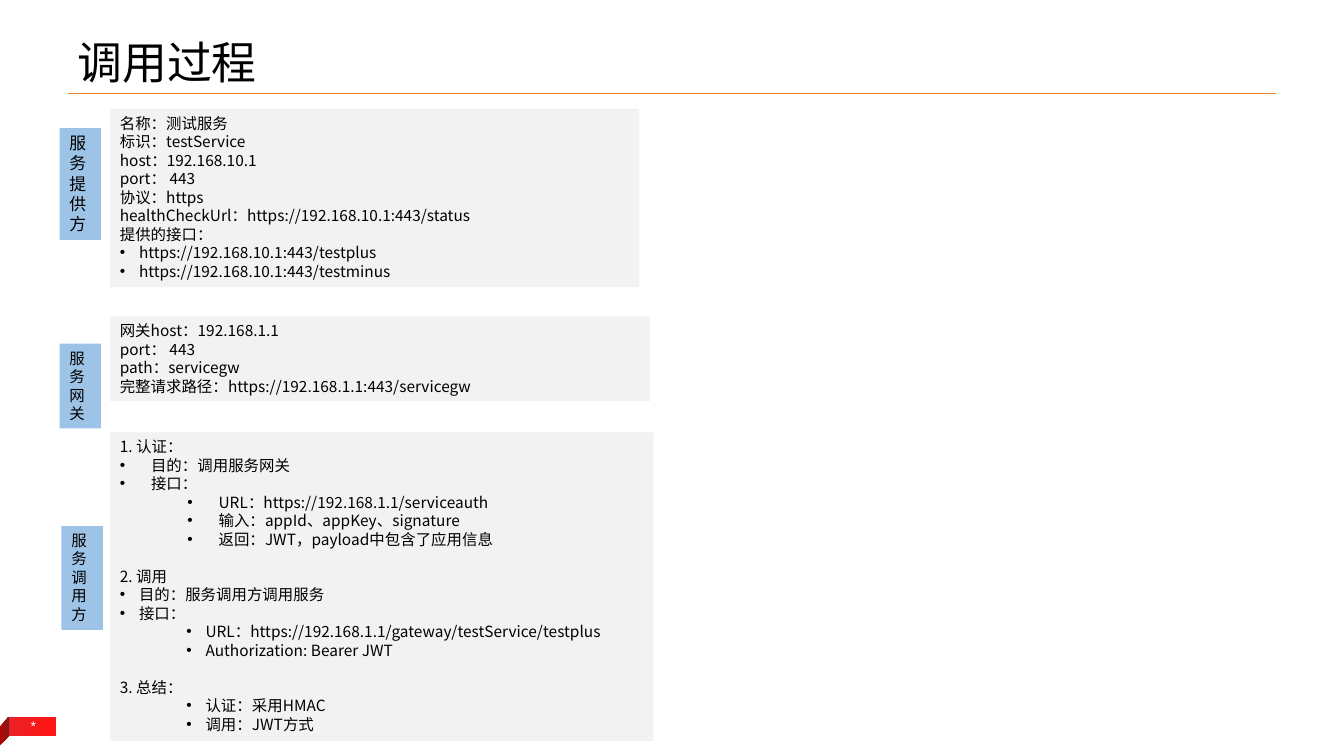
from lxml import etree
from pptx import Presentation
from pptx import util as u
from pptx.dml.color import RGBColor
from pptx.enum import shapes, text
from pptx.oxml.ns import qn

COLORS = {
    "black": "000000", "white": "FFFFFF", "rule": "ED7D31",
    "role": "9DC3E6", "panel": "F2F2F2",
    "red": "EC2225", "bright": "FF1313", "fold": "AF0707", "shade": "7F1B1B",
}
CJK = "Noto Sans CJK SC"
LINE = 13.2  # height of one 11 pt line, in points

# Paragraph styles: left margin, hanging indent, level, space before
PLAIN = (0, 0, 0, 0)
SECTION = (0, 0, 0, LINE)
NARROW = (0.19, 0.19, 0, 0)
WIDE = (0.31, 0.31, 0, 0)
SUB_NARROW = (0.85, 0.19, 1, 0)
SUB_WIDE = (0.98, 0.31, 1, 0)

PROVIDER = [
    ("名称：测试服务", PLAIN),
    ("标识：testService", PLAIN),
    ("host：192.168.10.1", PLAIN),
    ("port： 443", PLAIN),
    ("协议：https", PLAIN),
    ("healthCheckUrl：https://192.168.10.1:443/status", PLAIN),
    ("提供的接口：", PLAIN),
    ("https://192.168.10.1:443/testplus", NARROW),
    ("https://192.168.10.1:443/testminus", NARROW),
]
GATEWAY = [
    ("网关host：192.168.1.1", PLAIN),
    ("port： 443", PLAIN),
    ("path：servicegw", PLAIN),
    ("完整请求路径：https://192.168.1.1:443/servicegw", PLAIN),
]
CALLER = [
    ("1. 认证：", PLAIN),
    ("目的：调用服务网关", WIDE),
    ("接口：", WIDE),
    ("URL：https://192.168.1.1/serviceauth", SUB_WIDE),
    ("输入：appId、appKey、signature", SUB_WIDE),
    ("返回：JWT，payload中包含了应用信息", SUB_WIDE),
    ("2. 调用", SECTION),
    ("目的：服务调用方调用服务", NARROW),
    ("接口：", NARROW),
    ("URL：https://192.168.1.1/gateway/testService/testplus", SUB_NARROW),
    ("Authorization: Bearer JWT", SUB_NARROW),
    ("3. 总结：", SECTION),
    ("认证：采用HMAC", SUB_NARROW),
    ("调用：JWT方式", SUB_NARROW),
]


def rgb(name):
    """Return the palette colour as an RGBColor."""
    return RGBColor.from_string(COLORS[name])


class Deck:
    """Holds the style and the current slide."""

    def __init__(self, s):
        """Draw on slide s."""
        self.s = s

    def set_lines(self, sp, lines, size, color="black", font=CJK):
        """Put styled lines into a shape; return its text frame."""
        tf = sp.text_frame
        tf.text = "\n".join(line for line, _ in lines)
        tf.word_wrap = True
        tf.vertical_anchor = text.MSO_ANCHOR.TOP
        for p, (_, (left, hang, level, before)) in zip(tf.paragraphs, lines):
            p.alignment = text.PP_ALIGN.LEFT
            p.level = level
            p.space_before = u.Pt(before)
            if hang:
                pPr = p._p.get_or_add_pPr()
                pPr.set("marL", str(u.Inches(left)))
                pPr.set("indent", str(-u.Inches(hang)))
                etree.SubElement(pPr, qn("a:buFont")).set("typeface", "Arial")
                etree.SubElement(pPr, qn("a:buChar")).set("char", "•")
            for r in p.runs:
                r.font.size = u.Pt(size)
                r.font.name = font
                r.font.color.rgb = rgb(color)
                ea = etree.SubElement(r._r.get_or_add_rPr(), qn("a:ea"))
                ea.set("typeface", font)
        return tf

    def label(self, x, y, w, h, line, size, color="black", font=CJK):
        """Add a one-line text box; return its text frame."""
        sp = self.s.shapes.add_textbox(*map(u.Inches, (x, y, w, h)))
        return self.set_lines(sp, [(line, PLAIN)], size, color, font)

    def box(self, x, y, w, h, fill, lines=(), size=11):
        """Add a plain rectangle, with text if there is any."""
        sp = self.s.shapes.add_shape(
            shapes.MSO_SHAPE.RECTANGLE, *map(u.Inches, (x, y, w, h)))
        self.finish(sp, fill)
        if lines:
            self.set_lines(sp, lines, size)
        return sp

    def outline(self, points, fill):
        """Add a closed polygon through points given in inches."""
        pts = [(u.Inches(x), u.Inches(y)) for x, y in points]
        fb = self.s.shapes.build_freeform(*pts[0])
        fb.add_line_segments(pts[1:], close=True)
        sp = fb.convert_to_shape()
        self.finish(sp, fill)
        return sp

    def finish(self, sp, fill):
        """Remove line and shadow and fill with one colour."""
        sp.shadow.inherit = False
        sp.line.fill.background()
        sp.fill.solid()
        sp.fill.fore_color.rgb = rgb(fill)

    def gradient(self, sp, start, end, hold=0):
        """Fill left to right, keeping the start colour until hold."""
        sp.fill.gradient()
        sp.fill.gradient_angle = 0
        first, last = sp.fill.gradient_stops
        first.color.rgb, last.color.rgb = rgb(start), rgb(end)
        first.position, last.position = hold, 1

    def rule(self, x1, x2, y):
        """Add a thin horizontal line."""
        c = self.s.shapes.add_connector(
            shapes.MSO_CONNECTOR.STRAIGHT, *map(u.Inches, (x1, y, x2, y)))
        c.line.color.rgb = rgb("rule")
        c.line.width = u.Pt(0.75)
        etree.SubElement(c._element.spPr, qn("a:effectLst"))


def main():
    """Build the slide and save it."""
    prs = Presentation()
    prs.slide_width, prs.slide_height = u.Inches(13.33), u.Inches(7.5)
    deck = Deck(prs.slides.add_slide(prs.slide_layouts[6]))

    # Page marker ribbon
    deck.gradient(deck.box(0.09, 7.11, 0.47, 0.19, "red"), "red", "bright")
    fold = deck.outline(
        [(0.09, 7.11), (-0.04, 7.25), (-0.04, 7.44), (0.09, 7.3)], "fold")
    deck.gradient(fold, "fold", "shade", 0.47)
    tf = deck.label(0.17, 7.05, 0.32, 0.3, "*", 10, "white", "Arial")
    tf.word_wrap = False
    tf.margin_left = tf.margin_right = u.Inches(0.13)
    tf.margin_top = tf.margin_bottom = u.Inches(0.07)
    tf.paragraphs[0].alignment = text.PP_ALIGN.CENTER

    # Heading
    deck.rule(0.67, 12.66, 0.93)
    tf = deck.label(0.67, 0.21, 12, 0.72, "调用过程", 32)
    tf.vertical_anchor = text.MSO_ANCHOR.BOTTOM
    tf.paragraphs[0].line_spacing = 0.9

    # Role: name, size, left, top, height; panel: top, width, height, lines
    rows = [
        ("服务提供方", 12, 0.59, 1.27, 1.11, 1.08, 5.25, 1.77, PROVIDER),
        ("服务网关", 11, 0.59, 3.41, 0.84, 3.14, 5.36, 0.84, GATEWAY),
        ("服务调用方", 11, 0.61, 5.22, 1.03, 4.29, 5.39, 3.06, CALLER),
    ]
    for role, size, x, y, h, top, width, height, lines in rows:
        deck.box(x, y, 0.41, h, "role", [(role, PLAIN)], size)
        deck.box(1.09, top, width, height, "panel", lines)

    prs.save("out.pptx")


main()
